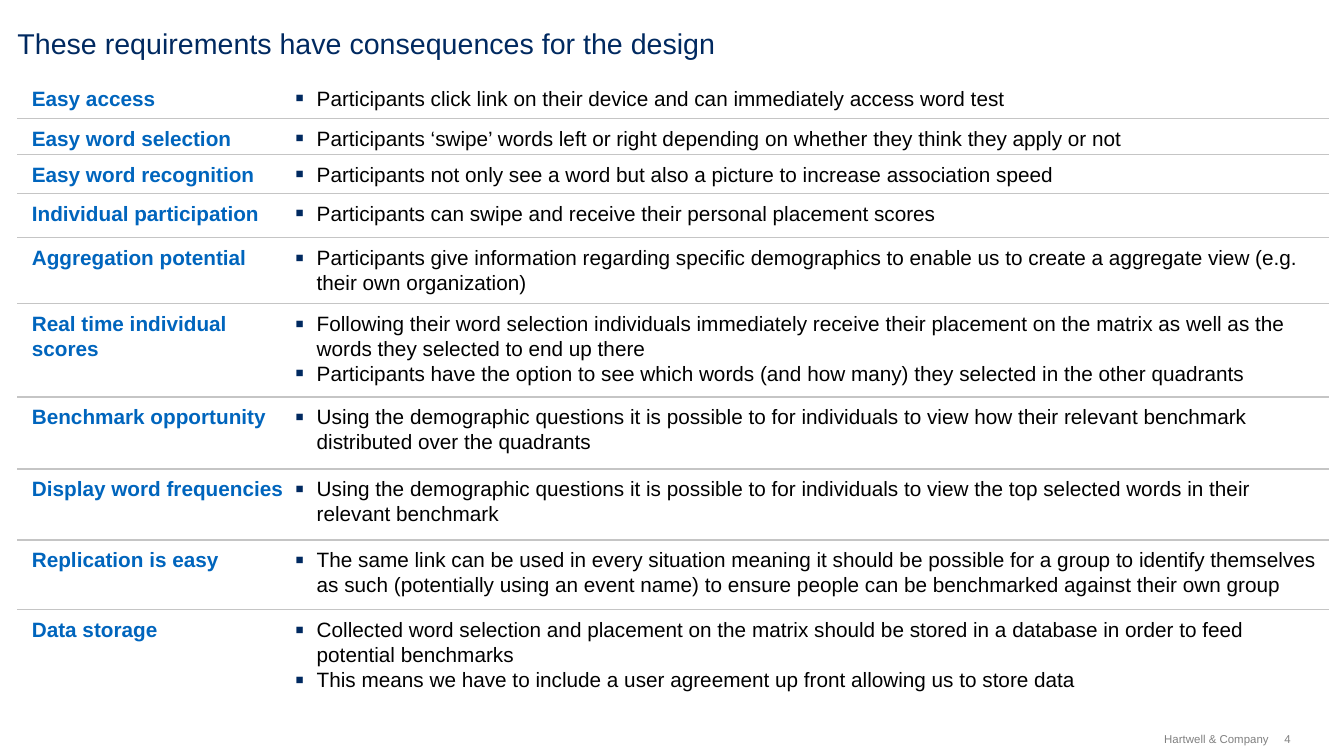
from dataclasses import dataclass

from lxml.etree import SubElement
from pptx import Presentation
from pptx.dml.color import RGBColor
from pptx.enum.shapes import MSO_CONNECTOR
from pptx.enum.text import MSO_ANCHOR, MSO_AUTO_SIZE, PP_ALIGN
from pptx.oxml.ns import qn
from pptx.util import Inches, Pt


@dataclass(frozen=True)
class Theme:
    font: str = "Arial"
    navy: str = "002960"
    blue: str = "0065BD"
    black: str = "000000"
    grey: str = "808080"
    rule: str = "C5C5C5"
    title_size: float = 20
    body_size: float = 14.5
    footer_size: float = 8
    rule_width: float = 0.75
    bullet_percent: int = 125


@dataclass(frozen=True)
class Box:
    left: float
    top: float
    width: float
    height: float


@dataclass(frozen=True)
class Requirement:
    top: float
    label: str
    points: tuple
    lines: int = 1
    label_lines: int = 1


THEME = Theme()
LINE_HEIGHT = 0.24
ROW_PADDING = 0.07
LABEL_INDENT = 0.14
LABEL_WIDTH = 2.51
POINTS_INDENT = 2.7
POINTS_WIDTH = 9.99
BULLET_INDENT = 0.21

REQUIREMENTS = (
    Requirement(0.76, "Easy access", (
        "Participants click link on their device and can immediately access word test",)),
    Requirement(1.15, "Easy word selection", (
        "Participants ‘swipe’ words left or right depending on whether they think they apply or not",)),
    Requirement(1.5, "Easy word recognition", (
        "Participants not only see a word but also a picture to increase association speed",)),
    Requirement(1.88, "Individual participation", (
        "Participants can swipe and receive their personal placement scores",)),
    Requirement(2.31, "Aggregation potential", (
        "Participants give information regarding specific demographics to enable us "
        "to create a aggregate view (e.g. their own organization)",), 2),
    Requirement(2.95, "Real time individual scores", (
        "Following their word selection individuals immediately receive their placement "
        "on the matrix as well as the words they selected to end up there",
        "Participants have the option to see which words (and how many) they selected "
        "in the other quadrants"), 3, 2),
    Requirement(3.86, "Benchmark opportunity", (
        "Using the demographic questions it is possible to for individuals to view "
        "how their relevant benchmark distributed over the quadrants",), 2),
    Requirement(4.56, "Display word frequencies", (
        "Using the demographic questions it is possible to for individuals to view "
        "the top selected words in their relevant benchmark",), 2),
    Requirement(5.25, "Replication is easy", (
        "The same link can be used in every situation meaning it should be possible "
        "for a group to identify themselves as such (potentially using an event name) "
        "to ensure people can be benchmarked against their own group",), 2),
    Requirement(5.93, "Data storage", (
        "Collected word selection and placement on the matrix should be stored "
        "in a database in order to feed potential benchmarks",
        "This means we have to include a user agreement up front allowing us to store data"), 3),
)


def add_bullet(para):
    properties = para._p.get_or_add_pPr()
    properties.set("marL", str(Inches(BULLET_INDENT)))
    properties.set("indent", str(-Inches(BULLET_INDENT)))
    color = SubElement(properties, qn("a:buClr"))
    SubElement(color, qn("a:srgbClr")).set("val", THEME.navy)
    SubElement(properties, qn("a:buSzPct")).set("val", str(THEME.bullet_percent * 1000))
    SubElement(properties, qn("a:buFont")).set("typeface", THEME.font)
    SubElement(properties, qn("a:buChar")).set("char", "▪")


def add_text(page, box, texts, size, color, bold=False, bullets=False,
             wrap=True, align=PP_ALIGN.LEFT, anchor=MSO_ANCHOR.TOP):
    shape = page.shapes.add_textbox(
        Inches(box.left), Inches(box.top), Inches(box.width), Inches(box.height))
    frame = shape.text_frame
    frame.margin_left = frame.margin_right = frame.margin_top = frame.margin_bottom = 0
    frame.word_wrap = wrap
    frame.auto_size = MSO_AUTO_SIZE.SHAPE_TO_FIT_TEXT
    frame.vertical_anchor = anchor
    for index, text in enumerate(texts):
        para = frame.add_paragraph() if index else frame.paragraphs[0]
        para.alignment = align
        if bullets:
            add_bullet(para)
        span = para.add_run()
        span.text = text
        span.font.name = THEME.font
        span.font.size = Pt(size)
        span.font.bold = bold
        span.font.color.rgb = RGBColor.from_string(color)


def add_rule(page, left, top, width):
    line = page.shapes.add_connector(
        MSO_CONNECTOR.STRAIGHT, Inches(left), Inches(top), Inches(left + width), Inches(top))
    line.line.color.rgb = RGBColor.from_string(THEME.rule)
    line.line.width = Pt(THEME.rule_width)
    SubElement(line._element.spPr, qn("a:effectLst"))


def add_title(page, box):
    add_text(page, box, ["These requirements have consequences for the design"],
             THEME.title_size, THEME.navy)


def add_requirements(page, box):
    for index, row in enumerate(REQUIREMENTS):
        if index:
            add_rule(page, box.left, row.top, box.width)
        text_top = row.top + ROW_PADDING
        add_text(page, Box(box.left + LABEL_INDENT, text_top, LABEL_WIDTH,
                           row.label_lines * LINE_HEIGHT),
                 [row.label], THEME.body_size, THEME.blue, bold=True)
        add_text(page, Box(box.left + POINTS_INDENT, text_top, POINTS_WIDTH,
                           row.lines * LINE_HEIGHT),
                 row.points, THEME.body_size, THEME.black, bullets=True)


def add_footer(page, box):
    number_width = 0.14
    company_width = 1.11
    number_left = box.left + box.width - number_width
    for left, width, text, align in (
        (box.left, company_width, "Hartwell & Company", PP_ALIGN.RIGHT),
        (number_left, number_width, "4", PP_ALIGN.LEFT),
    ):
        add_text(page, Box(left, box.top, width, box.height), [text], THEME.footer_size,
                 THEME.grey, wrap=False, align=align, anchor=MSO_ANCHOR.MIDDLE)


def main():
    deck = Presentation()
    deck.slide_width = Inches(13.07)
    deck.slide_height = Inches(7.35)
    page = deck.slides.add_slide(deck.slide_layouts[6])
    add_title(page, Box(0.17, 0.25, 12.57, 0.34))
    add_requirements(page, Box(0.17, 0.76, 12.75, 5.97))
    add_footer(page, Box(11.23, 7.12, 1.4, 0.13))
    deck.save("out.pptx")


if __name__ == "__main__":
    main()
